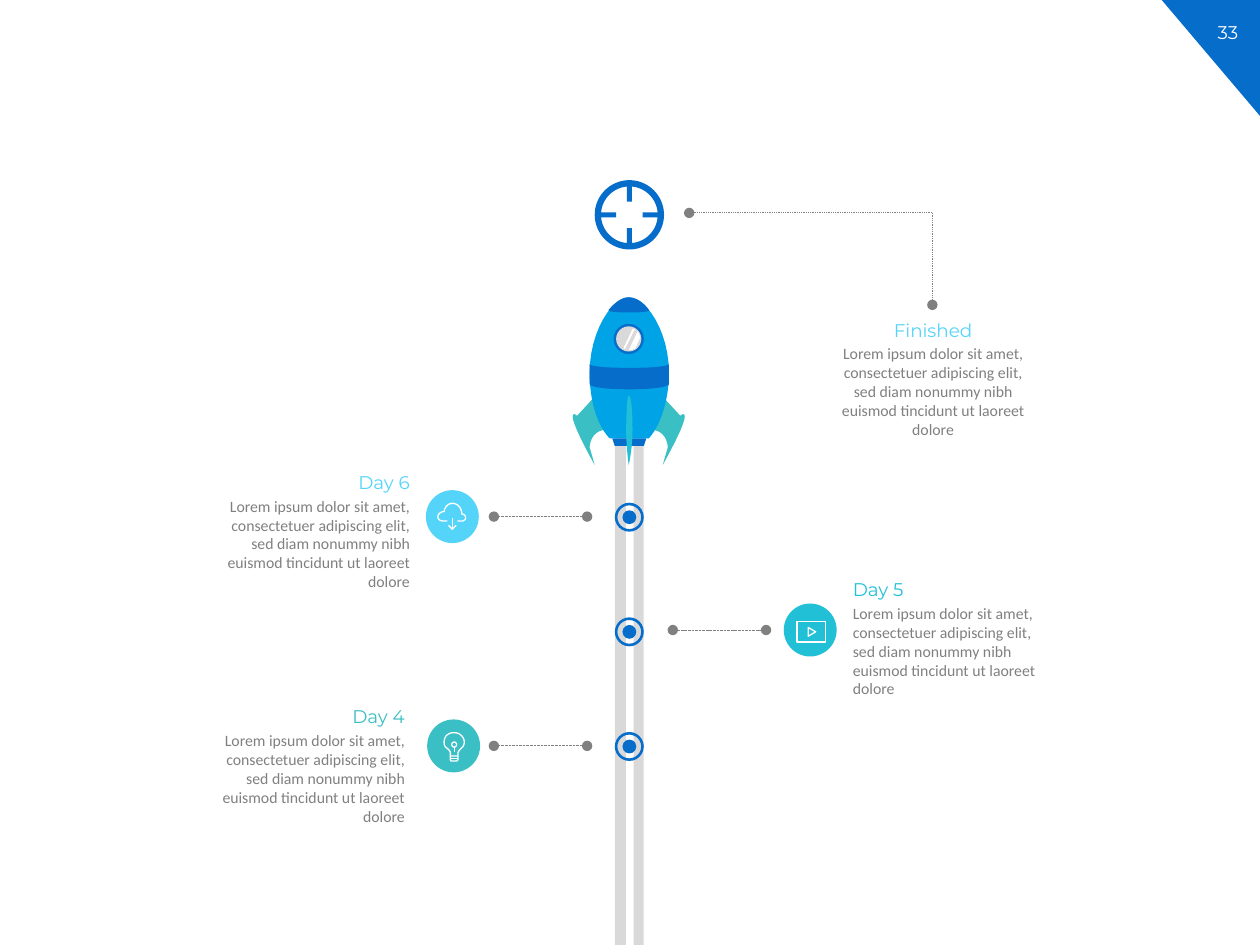
from math import asin, cos, pi, sin
from lxml import etree
from pptx import Presentation
from pptx.dml.color import RGBColor
from pptx.enum.dml import MSO_LINE
from pptx.enum.shapes import MSO_CONNECTOR, MSO_SHAPE
from pptx.enum.text import PP_ALIGN
from pptx.oxml.ns import qn
from pptx.util import Inches, Pt

OVAL, RECT, DONUT = MSO_SHAPE.OVAL, MSO_SHAPE.RECTANGLE, MSO_SHAPE.DONUT
WEDGE = MSO_SHAPE.RIGHT_TRIANGLE
STRAIGHT = MSO_CONNECTOR.STRAIGHT
DASH, DOT = MSO_LINE.SQUARE_DOT, MSO_LINE.ROUND_DOT
LEFT, MID, RIGHT = PP_ALIGN.LEFT, PP_ALIGN.CENTER, PP_ALIGN.RIGHT

HUES = {
    "blue": "066DCA", "azure": "00A4E6", "sky": "55D4FA", "cyan": "21C0D7",
    "teal": "3ABFC4", "smoke": "D9D9D9", "gray": "808080", "white": "FFFFFF",
}
BODY = ("Lorem ipsum dolor sit amet, consectetuer adipiscing elit, "
        "sed diam nonummy nibh euismod tincidunt ut laoreet dolore")

FIN = [(19, 81), (7, 94), (7, 94, 5, 92, 4, 93), (0, 96, 21, 133, 21, 133),
       (17, 119), (17, 119, 17, 106, 30, 105)]
ROCKET = [
    ("teal", FIN),
    ("teal", [tuple(96 - v if i % 2 == 0 else v for i, v in enumerate(step)) for step in FIN]),
    ("blue", [(60, 118), (37, 118), (35, 112), (62, 112)]),
    ("azure", [(64, 112), (73, 102, 80, 82, 80, 60), (80, 27, 62, 0, 48, 0),
               (35, 0, 17, 27, 17, 60), (17, 82, 23, 102, 33, 112)]),
    ("blue", [(64, 10), (59, 3, 53, 0, 48, 0), (43, 0, 38, 3, 32, 10),
              (32, 10, 30, 12, 48, 12), (67, 12, 64, 10, 64, 10)]),
    ("blue", [(17, 53), (17, 69), (17, 69, 18, 73, 48, 73), (79, 73, 80, 69, 80, 69),
              (80, 53), (80, 53, 80, 56, 48, 56), (17, 56, 17, 53, 17, 53)]),
    ("cyan", [(51, 105), (51, 120, 48, 133, 48, 133), (48, 133, 46, 120, 46, 105),
              (46, 90, 47, 78, 48, 78), (50, 78, 51, 90, 51, 105)]),
]
GLINTS = [
    [(53, 25), (51, 25), (44, 40), (44, 41), (45, 41)],
    [(55, 27), (48, 42), (50, 42, 51, 41, 53, 41), (57, 32), (57, 30, 56, 29, 55, 27)],
]
CLOUD = [
    [(8, 14.5), (5, 14.5), (2, 14.5, 0.5, 13, 0.5, 11), (0.5, 9, 3, 7, 5.5, 7),
     (6, 3, 9, 0.5, 12, 0.5), (16, 0.5, 19.5, 4, 19.5, 9), (21, 9, 22.5, 10, 22.5, 12),
     (22.5, 13.5, 21, 14.5, 20, 14.5), (16, 14.5)],
    [(12, 12), (12, 21)],
    [(9, 18), (12, 21), (15, 18)],
]
BULB = [
    [(5.5, 19), (5.5, 17), (5.5, 15, 4, 14, 3, 13), (1.5, 12, 0.5, 11, 0.5, 8),
     (0.5, 3, 4, 0.5, 8.5, 0.5), (13, 0.5, 16.5, 4, 16.5, 8),
     (16.5, 11, 15, 12, 14, 13), (12, 15, 11.5, 16, 11.5, 17), (11.5, 19), (5.5, 19)],
    [(5.5, 19), (5.5, 22), (5.5, 23, 6, 23, 6.5, 23), (10.5, 23), (11.5, 22), (11.5, 19)],
    [(5.5, 21), (11.5, 21)],
    [(8.5, 11), (8.5, 16)],
    [(8.5, 12), (6, 12, 6, 8, 8.5, 8), (11, 8, 11, 12, 8.5, 12)],
]
VIDEO = [
    [(0.5, 0.5), (23.5, 0.5), (23.5, 16.5), (0.5, 16.5), (0.5, 0.5)],
    [(9.5, 5), (15.5, 8.5), (9.5, 12), (9.5, 5)],
]


def hue(name):
    return RGBColor.from_string(HUES[name])


def paint(shape, name):
    shape.shadow.inherit = False
    shape.fill.solid()
    shape.fill.fore_color.rgb = hue(name)
    shape.line.fill.background()
    return shape


def add(shapes, kind, x, y, w, h, name):
    return paint(shapes.add_shape(kind, Inches(x), Inches(y), Inches(w), Inches(h)), name)


def trace(steps):
    spots = [steps[0]]
    for step in steps[1:]:
        if len(step) == 2:
            spots.append(step)
            continue
        ends = [spots[-1], step[:2], step[2:4], step[4:]]
        for n in range(1, 13):
            t = n / 12
            parts = ((1 - t) ** 3, 3 * t * (1 - t) ** 2, 3 * t * t * (1 - t), t ** 3)
            spots.append(tuple(sum(k * end[i] for k, end in zip(parts, ends)) for i in (0, 1)))
    return [(Inches(a / 100), Inches(b / 100)) for a, b in spots]


def draw(shapes, x, y, paths, close=True):
    loops = [trace(steps) for steps in paths]
    pen = shapes.build_freeform(*loops[0][0])
    for i, loop in enumerate(loops):
        if i:
            pen.move_to(*loop[0])
        pen.add_line_segments(loop[1:], close=close)
    return pen.convert_to_shape(Inches(x), Inches(y))


def icon(shapes, x, y, paths):
    shape = draw(shapes, x, y, paths, close=False)
    shape.shadow.inherit = False
    shape.fill.background()
    shape.line.color.rgb = hue("white")
    shape.line.width = Pt(0.75)


def link(shapes, x1, y1, x2, y2, dash, ends):
    line = shapes.add_connector(STRAIGHT, Inches(x1), Inches(y1), Inches(x2), Inches(y2))
    line.line.color.rgb = hue("gray")
    line.line.width = Pt(0.5)
    line.line.dash_style = dash
    for end in ends:
        etree.SubElement(line.line._get_or_add_ln(), qn("a:" + end), type="oval")
    etree.SubElement(line._element.spPr, qn("a:effectLst"))


def write(shapes, x, y, w, h, text, size, face, name, align):
    frame = shapes.add_textbox(Inches(x), Inches(y), Inches(w), Inches(h)).text_frame
    frame.word_wrap = True
    frame.text = text
    para = frame.paragraphs[0]
    para.alignment = align
    font = para.runs[0].font
    font.size, font.name = Pt(size), face
    font.color.rgb = hue(name)


def note(shapes, x, y, title, name, align):
    write(shapes, x, y + 0.2, 1.81, 0.86, BODY, 9, "Calibri", "gray", align)
    write(shapes, x, y, 1.81, 0.28, title, 10.5, "Montserrat", name, align)


def corner(shapes, x, y):
    add(shapes, WEDGE, x, y, 0.78, 0.92, "blue").rotation = 180
    write(shapes, x + 0.27, y + 0.12, 0.51, 0.28, "33", 10.5, "Montserrat", "white", MID)


def trail(shapes, x, y, stops):
    add(shapes, RECT, x, y, 0.23, 7.5 - y, "smoke")
    add(shapes, RECT, x + 0.09, y + 0.04, 0.06, 7.46 - y, "white")
    for top in stops:
        add(shapes, OVAL, x + 0.06, top + 0.06, 0.11, 0.11, "blue")
        add(shapes, DONUT, x, top, 0.23, 0.23, "blue").adjustments[0] = 0.09


def rocket(shapes, x, y):
    parts = shapes.add_group_shape().shapes
    for name, steps in ROCKET:
        paint(draw(parts, x, y, [steps]), name)
    add(parts, OVAL, x + 0.36, y + 0.21, 0.24, 0.24, "blue")
    add(parts, OVAL, x + 0.38, y + 0.23, 0.2, 0.2, "smoke")
    for steps in GLINTS:
        paint(draw(parts, x, y, [steps]), "white")


def target(shapes, x, y):
    mid, far, near, half = 27.5, 22.5, 10.5, 2
    rim = [(mid + mid * cos(n * pi / 36), mid + mid * sin(n * pi / 36)) for n in range(72)]
    gap = asin(half / far)
    hole = []
    for turn in (n * pi / 2 for n in range(4)):
        arc = [turn + gap + (pi / 2 - 2 * gap) * n / 16 for n in range(17)]
        hole += [(mid + far * cos(a), mid + far * sin(a)) for a in arc]
        c, s = cos(turn + pi / 2), sin(turn + pi / 2)
        hole += [(mid + near * c - side * s, mid + near * s + side * c) for side in (-half, half)]
    paint(draw(shapes, x, y, [rim, hole]), "blue")


def finish(shapes, x, y):
    link(shapes, x, y, x + 1.93, y, DOT, ["headEnd"])
    link(shapes, x + 1.93, y, x + 1.93, y + 0.73, DOT, ["tailEnd"])
    note(shapes, x + 1.03, y + 0.79, "Finished", "sky", MID)


def day(shapes, x, y, title, name, align, words, paths, shift):
    start, end = (5.34, 6.08) if align == LEFT else (4.66, 3.92)
    link(shapes, start, y + 0.21, end, y + 0.21, DASH, ["headEnd", "tailEnd"])
    add(shapes, OVAL, x, y, 0.42, 0.42, name)
    icon(shapes, x + shift[0], y + shift[1], paths)
    note(shapes, *words, title, name, align)


def main():
    deck = Presentation()
    deck.slide_width, deck.slide_height = Inches(10), Inches(7.5)
    shapes = deck.slides.add_slide(deck.slide_layouts[6]).shapes
    corner(shapes, 9.22, 0)
    trail(shapes, 4.88, 3.25, [3.99, 4.9, 5.81])
    rocket(shapes, 4.51, 2.36)
    target(shapes, 4.72, 1.43)
    finish(shapes, 5.47, 1.69)
    day(shapes, 3.38, 3.89, "Day 6", "sky", RIGHT, (1.54, 3.69), CLOUD, (0.09, 0.1))
    day(shapes, 6.22, 4.79, "Day 5", "cyan", LEFT, (6.67, 4.54), VIDEO, (0.1, 0.14))
    day(shapes, 3.39, 5.71, "Day 4", "teal", RIGHT, (1.5, 5.55), BULB, (0.13, 0.1))
    deck.save("out.pptx")


if __name__ == "__main__":
    main()
